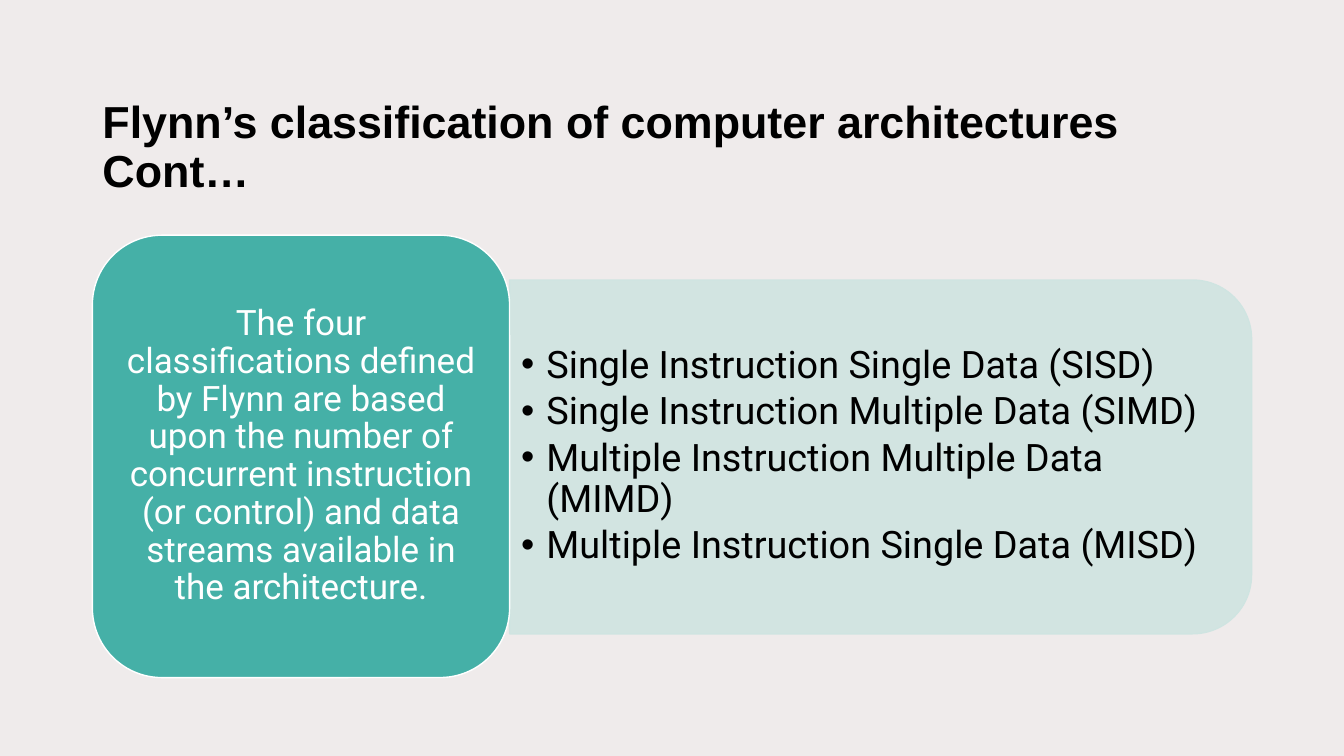
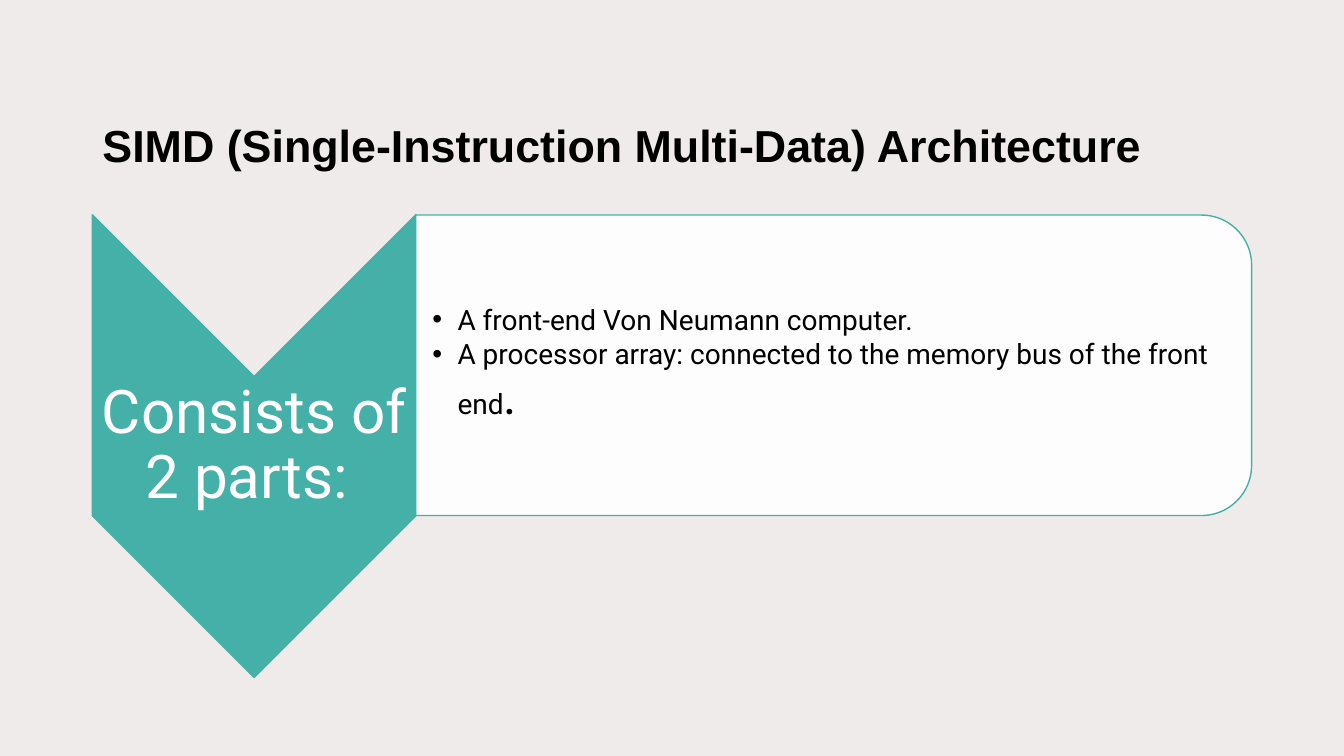
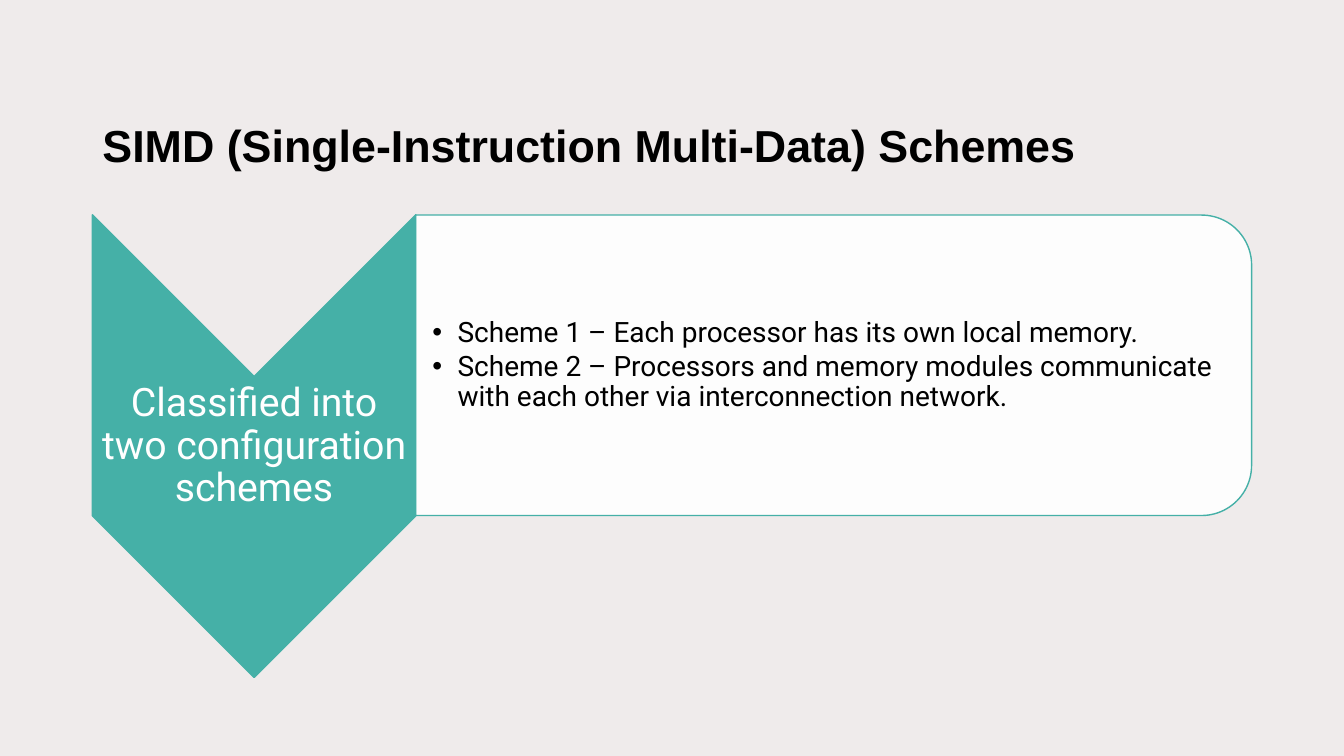
"""Build three slides on Flynn's classification and SIMD architectures."""
from dataclasses import dataclass

from lxml import etree
from pptx import Presentation
from pptx import slide as sl
from pptx.dml import color
from pptx.enum import shapes, text
from pptx.oxml import ns
from pptx.shapes import autoshape, base
from pptx.text import text as txt
from pptx.util import Pt

COLORS = {
    "background": "EFEBEB",
    "teal": "45B0A7",
    "mint": "CFE4E1",
    "white": "FFFFFF",
    "black": "000000",
}
TITLE_FONT = "Arial"
BODY_FONT = "Roboto"
LEFT = 66
LINE_SPACING = 0.9
INDENT = 18


@dataclass(frozen=True)
class Box:
    x: float
    y: float
    w: float
    h: float

    def turned(self) -> "Box":
        return Box(self.x + (self.w - self.h) / 2, self.y + (self.h - self.w) / 2, self.h, self.w)

    def lengths(self) -> tuple[Pt, Pt, Pt, Pt]:
        return Pt(self.x), Pt(self.y), Pt(self.w), Pt(self.h)


@dataclass(frozen=True)
class Style:
    size: float
    color: str
    font: str = BODY_FONT
    bold: bool = False


@dataclass(frozen=True)
class Scheme:
    title: str
    title_width: float
    label: str
    label_size: float
    items: tuple[str, ...]
    ending: str = ""


TITLE_STYLE = Style(32, "black", TITLE_FONT, True)
CARD = Box(LEFT, 168, 298, 316)
CARD_PANEL = Box(364, 200, 530, 252.7)
CARD_LIST = Box(364.3, 211.7, 517.7, 228.2)
CHEVRON = Box(LEFT, 153.4, 231, 330.5)
CHEVRON_LABEL = Box(LEFT, 269.3, 231, 99.4)
CHEVRON_PANEL = Box(297, 153.6, 597, 214.6)
CHEVRON_LIST = Box(297.3, 164.2, 586, 193.7)

SCHEMES = (
    Scheme(
        "SIMD (Single-Instruction Multi-Data) Architecture", 816,
        "Consists of 2 parts: ", 43,
        ("A front-end Von Neumann computer.",
         "A processor array: connected to the memory bus of the front end"),
        ".",
    ),
    Scheme(
        "SIMD (Single-Instruction Multi-Data) Schemes", 728,
        "Classified into two configuration schemes", 28,
        ("Scheme 1 – Each processor has its own local memory.",
         "Scheme 2 – Processors and memory modules communicate with each other "
         "via interconnection network."),
    ),
)


def rgb(name: str) -> color.RGBColor:
    return color.RGBColor.from_string(COLORS[name])


def place(sp: base.BaseShape, box: Box) -> None:
    sp.left, sp.top, sp.width, sp.height = box.lengths()


def set_frame(tf: txt.TextFrame, insets: tuple[float, float, float, float]) -> None:
    tf.word_wrap = True
    tf.auto_size = text.MSO_AUTO_SIZE.NONE
    tf.vertical_anchor = text.MSO_ANCHOR.MIDDLE
    tf.margin_left, tf.margin_top, tf.margin_right, tf.margin_bottom = map(Pt, insets)


def format_paragraph(p: txt._Paragraph, style: Style, align: text.PP_ALIGN, after: float = 0) -> None:
    p.alignment = align
    p.line_spacing = LINE_SPACING
    p.space_before = Pt(0)
    p.space_after = Pt(after)
    for r in p.runs:
        r.font.name = style.font
        r.font.size = Pt(style.size)
        r.font.bold = style.bold
        r.font.color.rgb = rgb(style.color)


def add_bullet(p: txt._Paragraph) -> None:
    pr = p._p.get_or_add_pPr()
    pr.set("marL", str(Pt(INDENT)))
    pr.set("indent", str(-Pt(INDENT)))
    etree.SubElement(pr, ns.qn("a:buFont"), typeface=TITLE_FONT)
    etree.SubElement(pr, ns.qn("a:buChar"), char="•")


def add_block(s: sl.Slide, kind: shapes.MSO_SHAPE, box: Box, fill: str, line: str,
              turned: bool = False) -> autoshape.Shape:
    frame = box.turned() if turned else box
    sp = s.shapes.add_shape(kind, *frame.lengths())
    sp.rotation = 90 if turned else 0
    sp.shadow.inherit = False
    sp.fill.solid()
    sp.fill.fore_color.rgb = rgb(fill)
    sp.line.color.rgb = rgb(line)
    sp.line.width = Pt(1)
    return sp


def add_panel(s: sl.Slide, box: Box, fill: str, line: str) -> None:
    sp = add_block(s, shapes.MSO_SHAPE.ROUND_2_SAME_RECTANGLE, box, fill, line, True)
    clr = sp.element.spPr.find(ns.qn("a:solidFill")).find(ns.qn("a:srgbClr"))
    etree.SubElement(clr, ns.qn("a:alpha"), val="90000")


def write_label(sp: autoshape.Shape, label: str, size: float, inset: tuple[float, float]) -> None:
    tf = sp.text_frame
    set_frame(tf, inset * 2)
    tf.text = label
    format_paragraph(tf.paragraphs[0], Style(size, "white"), text.PP_ALIGN.CENTER)


def write_list(s: sl.Slide, box: Box, items: tuple[str, ...], size: float, after: float,
               insets: tuple[float, float, float, float], ending: str = "") -> None:
    sp = s.placeholders[1]
    place(sp, box)
    s.shapes.element.append(sp.element)
    tf = sp.text_frame
    set_frame(tf, insets)
    tf.text = "\n".join(items)
    if ending:
        tf.paragraphs[-1].add_run().text = ending
    for p in tf.paragraphs:
        format_paragraph(p, Style(size, "black"), text.PP_ALIGN.LEFT, after)
        add_bullet(p)
    if ending:
        tf.paragraphs[-1].runs[-1].font.size = Pt(36)


def add_slide(prs: Presentation, title: str, width: float) -> sl.Slide:
    s = prs.slides.add_slide(prs.slide_layouts[1])
    sp = s.shapes.title
    place(sp, Box(LEFT, 44, width, 124))
    tf = sp.text_frame
    set_frame(tf, (7.2, 3.6, 7.2, 3.6))
    tf.text = title
    format_paragraph(tf.paragraphs[0], TITLE_STYLE, text.PP_ALIGN.LEFT)
    return s


def add_classification(prs: Presentation) -> None:
    s = add_slide(prs, "Flynn’s classification of computer architectures Cont…", 772)
    add_panel(s, CARD_PANEL, "mint", "mint")
    card = add_block(s, shapes.MSO_SHAPE.ROUNDED_RECTANGLE, CARD, "teal", "white")
    write_label(
        card,
        "The four classifications defined by Flynn are based upon the number of concurrent "
        "instruction (or control) and data streams available in the architecture.",
        25, (7.2, 3.6),
    )
    items = (
        "Single Instruction Single Data (SISD)",
        "Single Instruction Multiple Data (SIMD)",
        "Multiple Instruction Multiple Data (MIMD)",
        "Multiple Instruction Single Data (MISD)",
    )
    write_list(s, CARD_LIST, items, 27, 4, (8, 4, 8, 4))


def add_scheme(prs: Presentation, scheme: Scheme) -> None:
    s = add_slide(prs, scheme.title, scheme.title_width)
    add_block(s, shapes.MSO_SHAPE.CHEVRON, CHEVRON, "teal", "teal", True)
    label = s.shapes.add_textbox(*CHEVRON_LABEL.lengths())
    write_label(label, scheme.label, scheme.label_size, (2, 2))
    add_panel(s, CHEVRON_PANEL, "white", "teal")
    write_list(s, CHEVRON_LIST, scheme.items, 20, 3, (11.5, 1, 1, 1), scheme.ending)


def main() -> None:
    prs = Presentation()
    prs.slide_width, prs.slide_height = Pt(960), Pt(540)
    fill = prs.slide_master.background.fill
    fill.solid()
    fill.fore_color.rgb = rgb("background")
    add_classification(prs)
    for scheme in SCHEMES:
        add_scheme(prs, scheme)
    prs.save("out.pptx")


if __name__ == "__main__":
    main()
